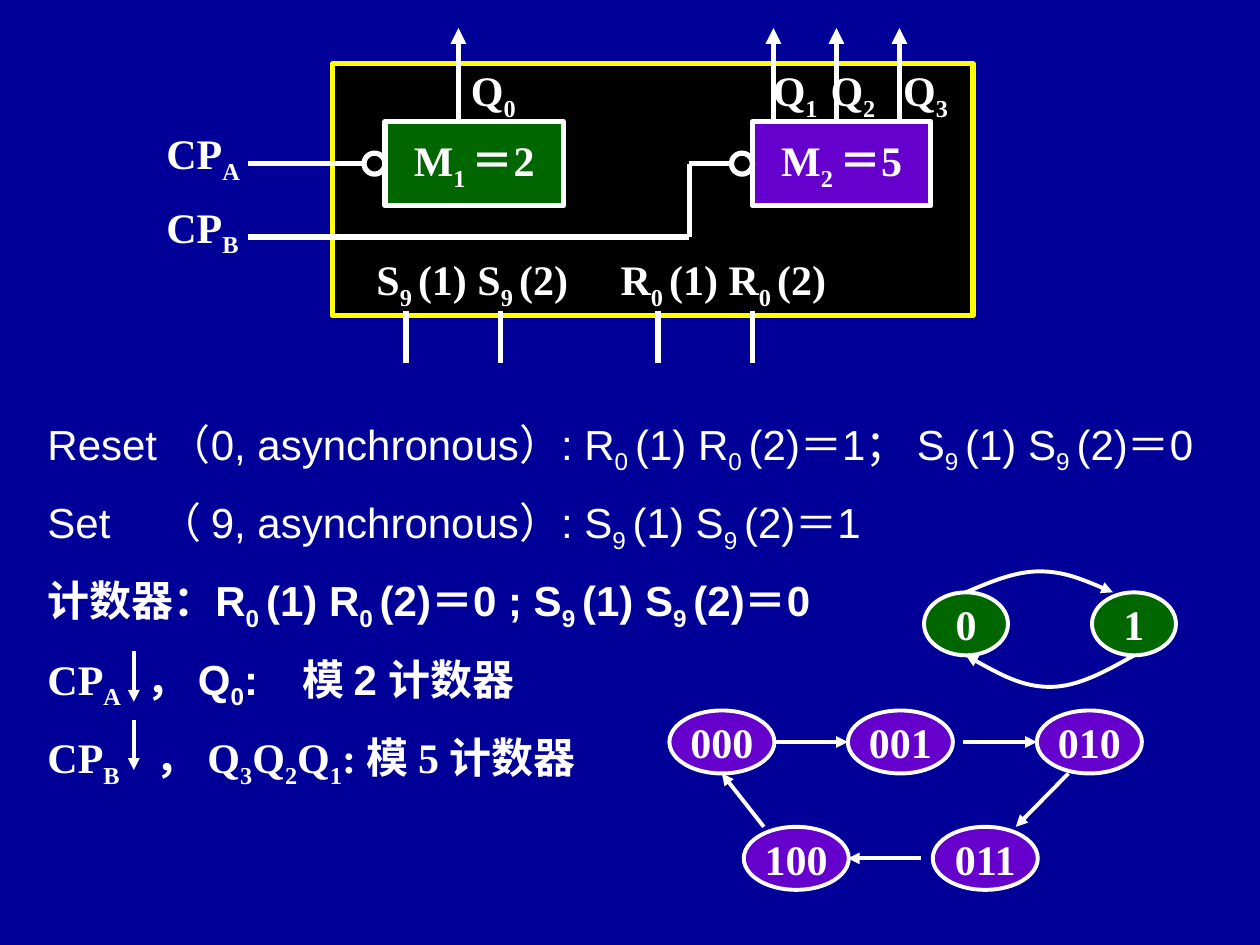
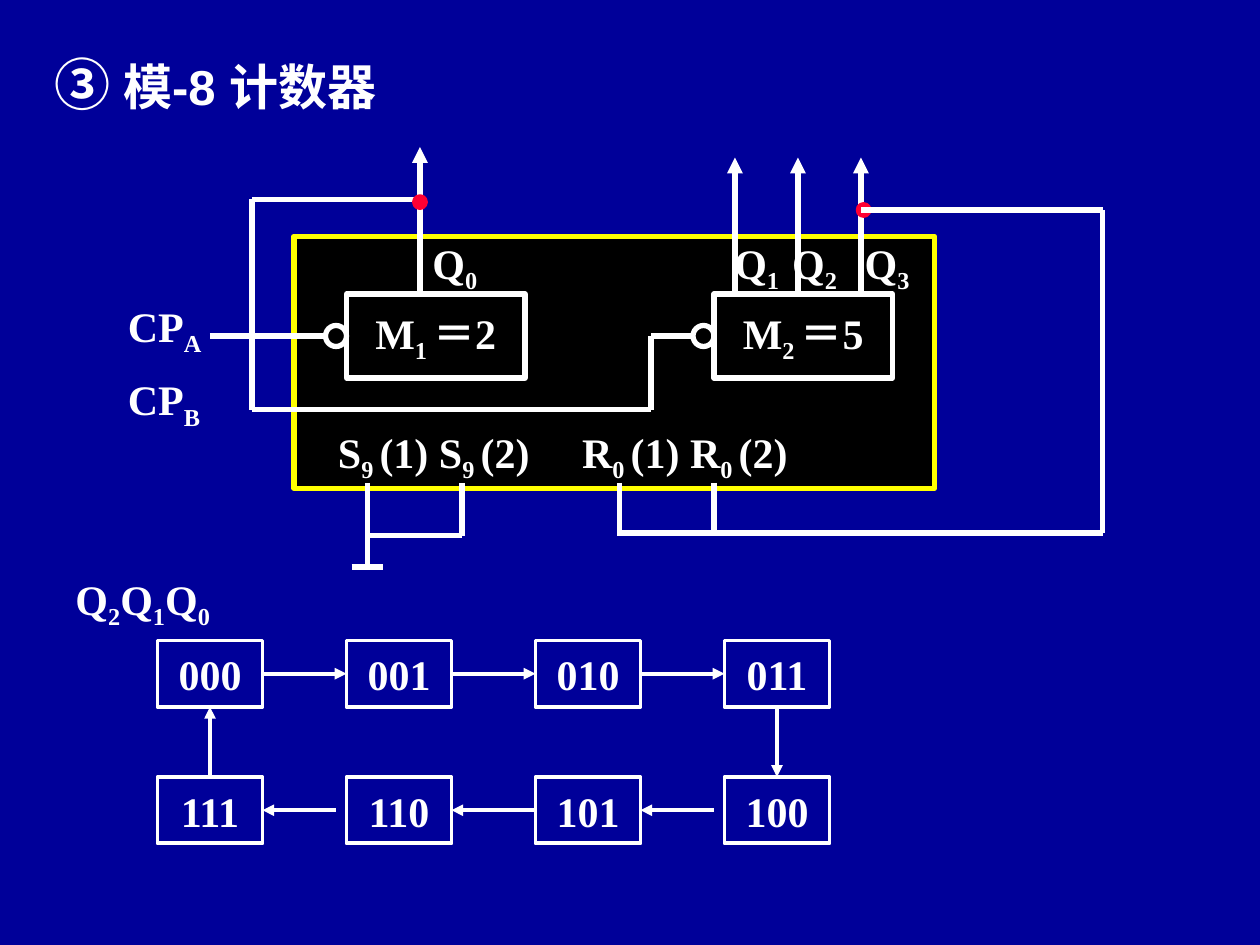
from dataclasses import dataclass
from itertools import pairwise
from typing import Optional

from lxml import etree
from pptx import Presentation
from pptx.dml.color import RGBColor
from pptx.enum import shapes, text
from pptx.oxml.ns import qn
from pptx.util import Pt

NAVY = RGBColor(0x00, 0x00, 0x99)
BLACK = RGBColor(0x00, 0x00, 0x00)
WHITE = RGBColor(0xFF, 0xFF, 0xFF)
YELLOW = RGBColor(0xFF, 0xFF, 0x00)
GREEN = RGBColor(0x00, 0x66, 0x00)
PURPLE = RGBColor(0x66, 0x00, 0xCC)
RED = RGBColor(0xFF, 0x00, 0x33)
SERIF, SANS = "Times New Roman", "Arial"
THICK, THIN = 3, 2.25
RECT, OVAL = shapes.MSO_SHAPE.RECTANGLE, shapes.MSO_SHAPE.OVAL

Point = tuple[float, float]


@dataclass
class Span:
    """Text in which every second part between underscores is a subscript."""
    text: str
    font: str = SERIF
    size: float = 24


@dataclass
class Para:
    spans: list[Span]
    bold: bool = True
    tabs: tuple[float, ...] = ()


@dataclass
class Chip:
    x: float
    y: float
    fills: tuple[Optional[RGBColor], Optional[RGBColor]]
    tips: tuple[float, float]  # arrow ends of Q0 and of Q1 to Q3, from the chip's top
    cpb_start: float


def write_para(p, para: Para) -> None:
    if para.tabs:
        tab_list = etree.SubElement(p._p.get_or_add_pPr(), qn("a:tabLst"))
        for pos in para.tabs:
            etree.SubElement(tab_list, qn("a:tab"), pos=str(Pt(pos)), algn="l")
    f = p.font
    f.bold = para.bold
    f.color.rgb = WHITE
    mixed = len({(span.font, span.size) for span in para.spans}) > 1
    if not mixed:
        f.name, f.size = para.spans[0].font, Pt(para.spans[0].size)
    for span in para.spans:
        for i, part in enumerate(span.text.split("_")):
            if not part:
                continue
            r = p.add_run()
            r.text = part
            if mixed:
                r.font.name, r.font.size = span.font, Pt(span.size)
            if i % 2:
                r._r.get_or_add_rPr().set("baseline", "-25000")


def add_text(s, x: float, y: float, w: float, h: float, *paras: Para) -> None:
    tf = s.shapes.add_textbox(Pt(x), Pt(y), Pt(w), Pt(h)).text_frame
    tf.word_wrap = True
    for i, para in enumerate(paras):
        p = tf.add_paragraph() if i else tf.paragraphs[0]
        if i:
            p.space_before = Pt(12)
        write_para(p, para)


def add_label(s, x: float, y: float, w: float, label: str, *tabs: float) -> None:
    add_text(s, x, y, w, 36, Para([Span(label)], tabs=tabs))


def add_box(s, kind, x: float, y: float, w: float, h: float, label: str = "",
            fill: Optional[RGBColor] = None, line: RGBColor = WHITE, width: float = THICK):
    sp = s.shapes.add_shape(kind, Pt(x), Pt(y), Pt(w), Pt(h))
    sp.shadow.inherit = False
    if fill is None:
        sp.fill.background()
    else:
        sp.fill.solid()
        sp.fill.fore_color.rgb = fill
    sp.line.color.rgb = line
    sp.line.width = Pt(width)
    if label:
        tf = sp.text_frame
        tf.word_wrap = False
        tf.vertical_anchor = text.MSO_ANCHOR.MIDDLE
        p = tf.paragraphs[0]
        p.alignment = text.PP_ALIGN.CENTER
        write_para(p, Para([Span(label)]))
    return sp


def style_line(sp, width: float, arrow: bool) -> None:
    sp.line.color.rgb = WHITE
    sp.line.width = Pt(width)
    if arrow:
        etree.SubElement(sp.line._get_or_add_ln(), qn("a:tailEnd"), type="triangle")


def add_line(s, start: Point, end: Point, width: float = THICK, arrow: bool = False):
    c = s.shapes.add_connector(shapes.MSO_CONNECTOR.STRAIGHT, *map(Pt, start + end))
    style_line(c, width, arrow)
    etree.SubElement(c._element.spPr, qn("a:effectLst"))
    return c


def add_wire(s, *points: Point) -> None:
    for start, end in pairwise(points):
        add_line(s, start, end)


def add_arc(s, start: Point, end: Point, apex: float) -> None:
    """Draw a curved arrow between two points at one height, bulging to apex."""
    (x0, y0), (x1, _) = start, end
    bulges = (0.5, 1, 1, 1, 0.5, 0)
    points = [(Pt(x0 + (x1 - x0) * k / 6), Pt(y0 + (apex - y0) * b))
              for k, b in enumerate(bulges, 1)]
    builder = s.shapes.build_freeform(Pt(x0), Pt(y0))
    builder.add_line_segments(points, close=False)
    sp = builder.convert_to_shape()
    sp.shadow.inherit = False
    sp.fill.background()
    style_line(sp, THIN, True)
    outline = next(sp._element.iter(qn("a:path")))
    segments = outline.findall(qn("a:lnTo"))
    for i in (0, 3):
        curve = etree.SubElement(outline, qn("a:cubicBezTo"))
        for segment in segments[i:i + 3]:
            curve.append(segment[0])
            outline.remove(segment)


def add_chip(s, chip: Chip) -> None:
    x, y = chip.x, chip.y
    add_box(s, RECT, x, y, 366, 144, fill=BLACK, line=YELLOW)
    counters = zip((30, 240), ("M_1 _＝2", "M_2 _＝5"), chip.fills)
    for left, label, fill in counters:
        add_box(s, RECT, x + left, y + 33, 102, 48, label, fill)
        add_box(s, OVAL, x + left - 12, y + 51, 12, 12)
    for left, tip in zip((72, 252, 288, 324), chip.tips[:1] + chip.tips[1:] * 3):
        add_line(s, (x + left, y + 33), (x + left, y + tip), arrow=True)
    add_wire(s, (x - 48, y + 57), (x + 18, y + 57))
    add_wire(s, (x + 228, y + 57), (x + 204, y + 57), (x + 204, y + 99),
             (x + chip.cpb_start, y + 99))
    add_label(s, x - 102, y + 33, 72, "CP_A")
    add_label(s, x - 102, y + 75, 72, "CP_B")
    add_label(s, x + 18, y + 105, 306, "S_9 _(1) S_9 _(2)\tR_0 _(1) R_0 _(2)", 139.5)
    for left in (42, 96, 186, 240):
        add_line(s, (x + left, y + 141), (x + left, y + 171))
    add_label(s, x + 72, y - 3, 306, "Q_0_\tQ_1_\tQ_2_\tQ_3", 172.5, 205.5, 247)


def add_slide(prs):
    s = prs.slides.add_slide(prs.slide_layouts[6])
    s.background.fill.solid()
    s.background.fill.fore_color.rgb = NAVY
    return s


def build_counter_modes(prs) -> None:
    s = add_slide(prs)
    both_r, both_s = "R_0 _(1) R_0 _(2)", "S_9 _(1) S_9 _(2)"
    add_text(
        s, 20, 235.5, 699, 211,
        Para([Span(f"Reset （0, asynchronous）: {both_r}＝1； {both_s}＝0", SANS)], bold=False),
        Para([Span(f"Set\t（ 9, asynchronous）: {both_s}＝1", SANS)], bold=False, tabs=(64,)),
        Para([Span(f"计数器：{both_r}＝0 ; {both_s}＝0", SANS)]),
        Para([Span("CP_A_\t， "), Span("Q_0_:\t模 2 计数器", SANS)], tabs=(56.5, 145.5)),
        Para([Span("CP_B_\t， Q_3_Q_2_Q_1_: 模 5 计数器")], tabs=(62,)),
    )
    add_chip(s, Chip(190, 36.5, (GREEN, PURPLE), (-20.5, -20.5), -48))

    mod5_states = {"000": (382.5, 406), "001": (484.5, 406), "010": (592.5, 406),
                   "100": (425, 472.5), "011": (533, 472.5)}
    for state, (x, y) in mod5_states.items():
        add_box(s, OVAL, x, y, 60, 36, state, PURPLE, width=THIN)
    mod5_steps = [((442.5, 424), (484.5, 424)), ((550.5, 424), (592.5, 424)),
                  ((610.5, 442), (580.5, 472.5)), ((526.5, 490.5), (484.5, 490.5)),
                  ((436.5, 472.5), (412.5, 442))]
    edge_marks = [((76.5, 372), (76.5, 401)), ((76.5, 411.5), (76.5, 440))]
    for start, end in mod5_steps + edge_marks:
        add_line(s, start, end, THIN, arrow=True)

    for state, x in (("0", 528), ("1", 624)):
        add_box(s, OVAL, x, 338.5, 48, 36, state, GREEN, width=THIN)
    add_arc(s, (552, 338.5), (636, 338.5), 326.5)
    add_arc(s, (648, 374.5), (552, 374.5), 392.5)


def build_mod8_counter(prs) -> None:
    s = add_slide(prs)
    add_text(s, 24, 25, 342, 45, Para([Span("③ ", size=32), Span("模-8 计数器", SANS, 28)]))
    add_chip(s, Chip(168, 135, (None, None), (-51, -45), -24))

    add_wire(s, (240, 114), (144, 114), (144, 234))
    for x, y in ((237, 112.5), (490.5, 117)):
        add_box(s, OVAL, x, y, 6, 6, fill=RED, line=RED)
    add_wire(s, (264, 306), (210, 306), (210, 324))
    add_wire(s, (201, 324), (219, 324))
    add_wire(s, (354, 304.5), (630, 304.5), (630, 120), (492, 120))

    add_label(s, 36, 324, 120, "Q_2_Q_1_Q_0")
    grid = [(col, 0) for col in range(4)] + [(col, 1) for col in reversed(range(4))]
    boxes = [add_box(s, RECT, 90 + 108 * col, 366 + 78 * row, 60, 38, f"{i:03b}", width=THIN)
             for i, (col, row) in enumerate(grid)]
    exits = (3, 3, 3, 2, 1, 1, 1, 0)
    short_starts = {4: (408, 463), 6: (192, 463)}
    for i, side in enumerate(exits):
        start = short_starts.get(i, (0, 0))
        c = add_line(s, start, (0, 0), THIN, arrow=True)
        if i not in short_starts:
            c.begin_connect(boxes[i], side)
        c.end_connect(boxes[(i + 1) % 8], (side + 2) % 4)


def main() -> None:
    prs = Presentation()
    prs.slide_width, prs.slide_height = Pt(720), Pt(540)
    build_counter_modes(prs)
    build_mod8_counter(prs)
    prs.save("out.pptx")


if __name__ == "__main__":
    main()
